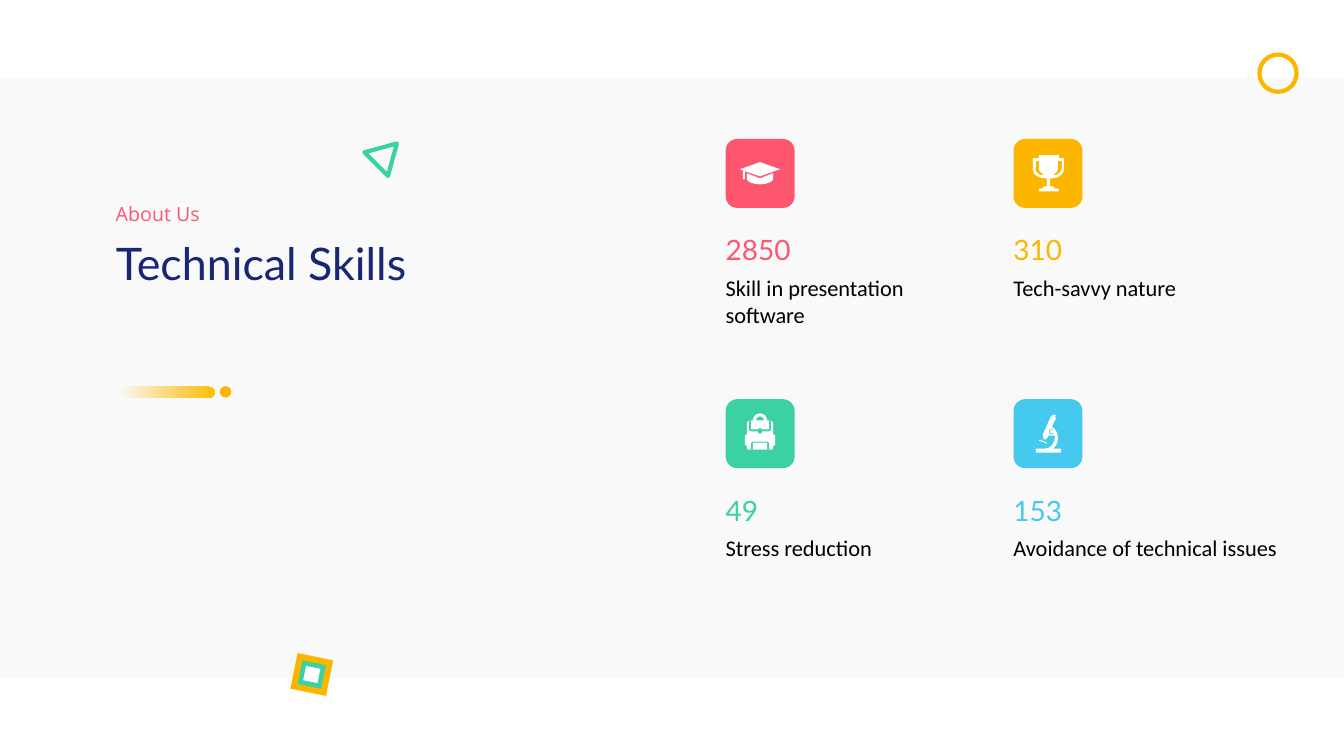
from lxml import etree
from pptx import Presentation
from pptx import util as u
from pptx.dml.color import RGBColor
from pptx.enum import shapes, text
from pptx.oxml.ns import qn

Pt = u.Pt
WHITE = RGBColor(0xFF, 0xFF, 0xFF)
BAND = RGBColor(0xF9, 0xF9, 0xF9)
BLACK = RGBColor(0, 0, 0)
NAVY = RGBColor(0x18, 0x26, 0x74)
PINK = RGBColor(0xFF, 0x56, 0x70)
AMBER = RGBColor(0xFC, 0xB6, 0x00)
GOLD = RGBColor(0xFF, 0xBE, 0x00)
GREEN = RGBColor(0x3C, 0xD1, 0xA2)
BLUE = RGBColor(0x46, 0xC9, 0xEE)
KIND = shapes.MSO_SHAPE

# Icon outlines in hundredths of an inch from the tile corner:
# M starts a contour, L is a line, C is a cubic curve
CAP = """M 21 34 L 21 40 C 21 42 27 45 34 45 C 41 45 47 42 47 40 L 47 34 L 34 39
M 34 37 L 54 30 L 34 23 L 14 30 L 17 31 L 17 39 C 17 40 17 40 18 40
C 18 40 19 40 19 39 L 19 32"""
TROPHY = """M 50 29 L 50 19 L 45 19 L 45 16 L 25 16 L 25 19 L 19 19 L 19 29
C 19 29 19 32 21 35 C 24 38 27 39 32 39 C 33 40 33 40 33 41 L 33 47 L 31 47
C 30 47 29 48 29 49 L 26 49 C 25 49 25 50 25 51 L 25 52 L 45 52 L 45 51
C 45 50 44 49 43 49 L 40 49 C 40 48 40 47 39 47 L 36 47 L 36 41
C 36 40 37 40 37 39 C 42 39 45 38 48 35 C 50 32 50 29 50 29
M 46 33 C 44 35 43 36 39 36 C 40 35 41 35 42 33 C 43 33 43 32 43 32
C 44 31 44 29 44 28 L 44 22 L 48 22 L 48 29 C 48 29 48 31 46 33
M 23 33 C 21 31 22 29 22 29 L 22 22 L 25 22 L 25 28 C 25 29 25 31 26 32
C 26 32 27 33 27 33 C 28 34 29 35 30 36 C 26 36 25 35 23 33"""
BACKPACK = """M 34 17 C 36 17 38 19 38 21 L 30 21 C 30 19 32 17 34 17
M 25 29 C 25 30 25 30 26 30 L 32 30 L 32 29 L 36 29 L 36 30 L 42 30
C 43 30 43 30 43 29 L 43 21 L 41 21 C 41 17 38 14 34 14
C 30 14 27 17 27 21 L 25 21
M 27 43 L 41 43 L 41 50 L 27 50
M 48 35 L 47 35 L 47 24 C 47 23 46 22 45 21 L 45 29 C 45 31 44 32 42 32
L 36 32 L 36 33 C 36 34 35 34 35 34 L 33 34 C 33 34 32 34 32 33 L 32 32
L 26 32 C 24 32 23 31 23 29 L 23 21 C 22 22 21 23 21 24 L 21 35 L 20 35
C 20 35 19 36 19 37 L 19 44 C 19 45 20 46 20 46 L 21 46 L 21 48
C 21 49 22 50 23 50 L 25 50 L 25 44 C 25 43 26 42 27 42 L 41 42
C 42 42 43 43 43 44 L 43 50 L 45 50 C 46 50 47 49 47 48 L 47 46 L 48 46
C 49 46 49 45 49 44 L 49 37 C 49 36 49 35 48 35"""
MICROSCOPE = """M 26 40 L 33 43 L 33 44 L 25 41
M 40 32 C 40 33 39 34 38 34 C 37 34 36 33 36 32 C 36 31 37 30 38 30
C 39 30 40 31 40 32
M 39 49 C 42 47 44 43 44 38 C 44 34 42 30 38 27 L 42 19 L 41 18 L 42 16
L 39 15 L 38 17 L 37 17 L 29 35 C 29 36 29 37 30 38 L 29 39 L 32 40 L 32 39
C 33 39 34 38 34 37 L 35 36 L 41 36 C 41 37 41 38 41 38 C 41 44 36 49 31 49
L 22 49 L 22 53 L 47 53 L 47 49
M 38 35 C 36 35 35 34 35 32 C 35 31 36 29 38 29 C 39 29 40 31 40 32
C 40 34 39 35 38 35"""


def contours(outline):
    """Turn an outline into lists of points, with curves sampled."""
    result = []
    for part in outline.split("M")[1:]:
        points = []
        for step in part.replace("L", "|L").replace("C", "|C").split("|"):
            numbers = [int(word) for word in step.strip("LC \n").split()]
            pairs = list(zip(numbers[::2], numbers[1::2]))
            if len(pairs) == 1:
                points += pairs
                continue
            curve = [points[-1]] + pairs
            for t in (0.25, 0.5, 0.75, 1):
                weights = ((1 - t) ** 3, 3 * t * (1 - t) ** 2,
                           3 * t * t * (1 - t), t ** 3)
                points.append(tuple(sum(w * p[axis] for w, p in zip(weights, curve))
                                    for axis in (0, 1)))
        result.append(points)
    return result


class Painter:
    INSET = 7.2

    def __init__(self, page):
        self.page = page

    def paint(self, shape, fill=None, line=None):
        shape.shadow.inherit = False
        if fill is None:
            shape.fill.background()
        else:
            shape.fill.solid()
            shape.fill.fore_color.rgb = fill
        if line is None:
            shape.line.fill.background()
        else:
            shape.line.color.rgb = line
            shape.line.width = Pt(3)
        return shape

    def shape(self, kind, left, top, width, height, fill=None, line=None,
              turn=0, corner=None):
        shape = self.page.shapes.add_shape(
            kind, Pt(left), Pt(top), Pt(width), Pt(height))
        shape.rotation = turn
        if corner is not None:
            shape.adjustments[0] = corner
        return self.paint(shape, fill, line)

    def fade(self, shape, start, end):
        """Fill from a transparent start to a solid end."""
        shape.fill.gradient()
        shape.fill.gradient_angle = 0
        for stop, color in zip(shape.fill.gradient_stops, (start, end)):
            stop.color.rgb = color
        first = next(shape.element.iter(qn("a:srgbClr")))
        etree.SubElement(first, qn("a:alpha")).set("val", "0")

    def label(self, words, left, top, width, height, size, font, color):
        """Place text whose letters start at left."""
        box = self.page.shapes.add_textbox(
            Pt(left - self.INSET), Pt(top), Pt(width), Pt(height))
        frame = box.text_frame
        frame.text = words
        frame.word_wrap = True
        frame.auto_size = text.MSO_AUTO_SIZE.SHAPE_TO_FIT_TEXT
        span = frame.paragraphs[0].runs[0]
        span.font.size, span.font.name = Pt(size), font
        span.font.color.rgb = color

    def icon(self, outline, left, top):
        builder = None
        for points in contours(outline):
            placed = [(Pt(left + x * 0.72), Pt(top + y * 0.72)) for x, y in points]
            if builder is None:
                builder = self.page.shapes.build_freeform(*placed[0], scale=1.0)
            else:
                builder.move_to(*placed[0])
            builder.add_line_segments(placed[1:], close=True)
        self.paint(builder.convert_to_shape(), WHITE)


deck = Presentation()
deck.slide_width, deck.slide_height = Pt(960), Pt(540)
painter = Painter(deck.slides.add_slide(deck.slide_layouts[6]))

# Background band
painter.shape(KIND.RECTANGLE, 0, 55.4, 960, 429, BAND)

# Heading
painter.label("Technical Skills", 82.8, 164.9, 325, 46, 32, "Lato", NAVY)
painter.label("About Us", 82.8, 141, 77, 24.5, 14, "Open Sans", PINK)

# Accent bar and dot
bar = painter.shape(KIND.ROUNDED_RECTANGLE, 85, 275.8, 68, 8.2, AMBER, corner=0.5)
painter.fade(bar, AMBER, GOLD)
painter.shape(KIND.OVAL, 157, 275.8, 8.2, 8.2, AMBER)

# Skills in a grid of two columns
SKILLS = [("2850", "Skill in presentation software", PINK, CAP),
          ("310", "Tech-savvy nature", AMBER, TROPHY),
          ("49", "Stress reduction", GREEN, BACKPACK),
          ("153", "Avoidance of technical issues", BLUE, MICROSCOPE)]
CAPTION_WIDTHS = (195, 208)
for index, (number, caption, color, outline) in enumerate(SKILLS):
    row, column = divmod(index, 2)
    left, top = 518.4 + 205.6 * column, 99.3 + 185.9 * row
    painter.shape(KIND.ROUNDED_RECTANGLE, left, top, 49.2, 49.2, color, corner=0.167)
    painter.icon(outline, left, top)
    painter.label(number, left, top + 63.4, 91.4, 31.5, 20, "Lato", color)
    painter.label(caption, left, top + 92.9, CAPTION_WIDTHS[column], 26.6,
                  16, "Calibri", BLACK)

# Nested tilted squares
for side, color in ((26, AMBER), (17.2, GREEN), (10.4, WHITE)):
    painter.shape(KIND.RECTANGLE, 222.7 - side / 2, 481.8 - side / 2, side, side,
                  color, turn=281.5)

# Outlined ring and triangle
painter.shape(KIND.OVAL, 899.6, 39, 26.6, 26.6, line=AMBER)
painter.shape(KIND.ISOSCELES_TRIANGLE, 264.2, 99.4, 23.8, 20.9, line=GREEN, turn=45)

deck.save("out.pptx")
